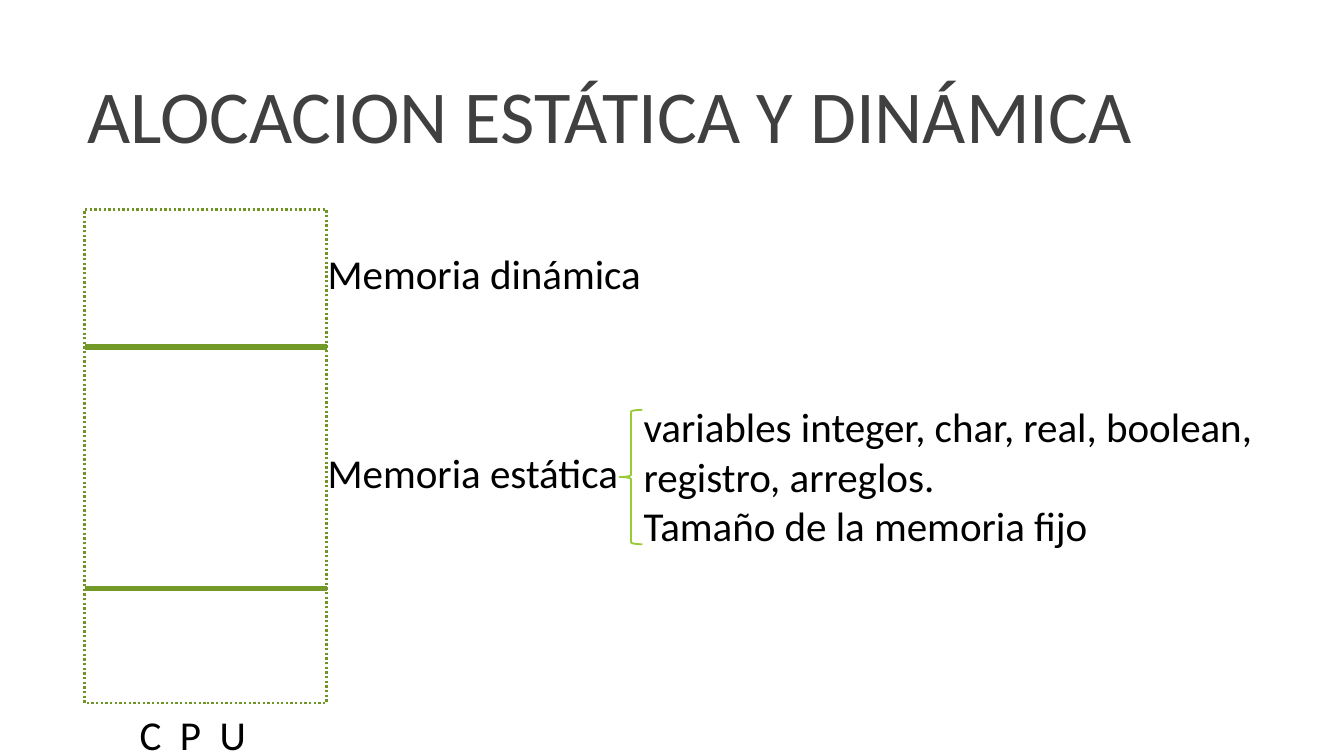
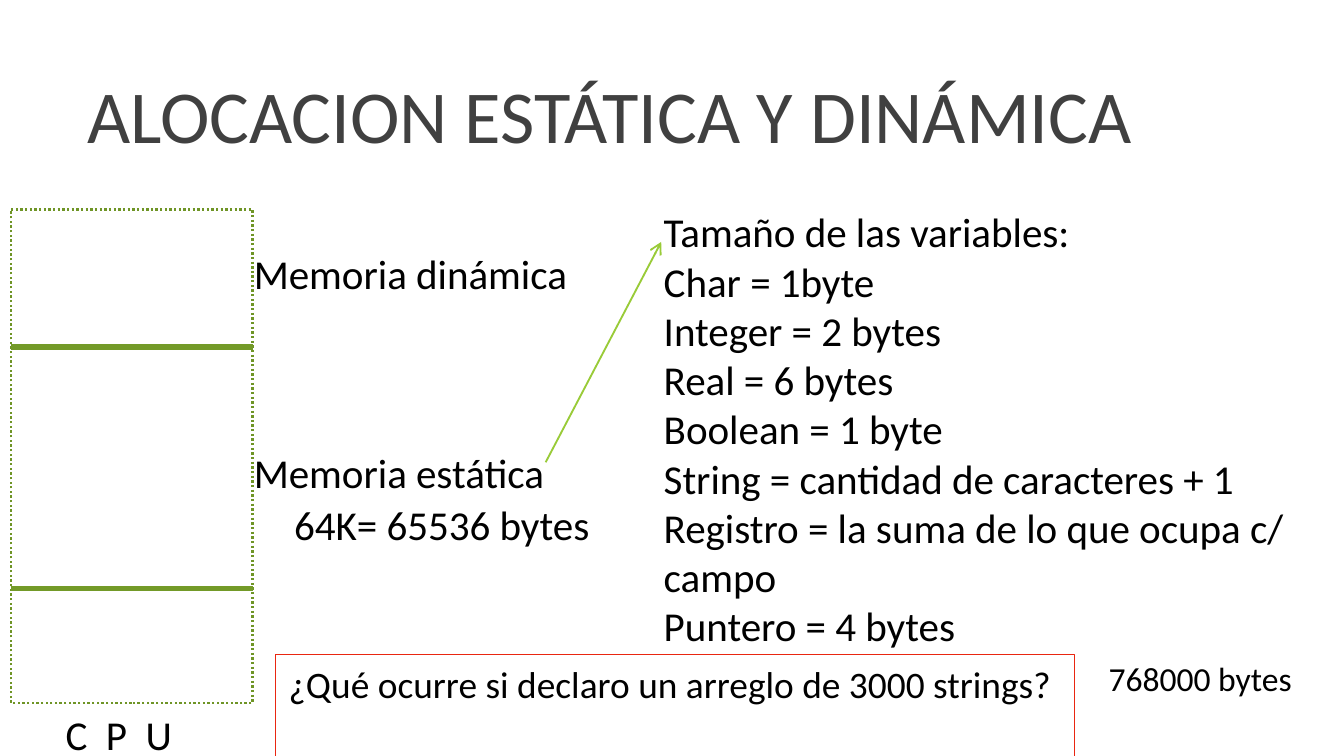
from lxml.etree import SubElement
from pptx import Presentation
from pptx.dml.color import RGBColor
from pptx.enum.dml import MSO_LINE
from pptx.enum.shapes import MSO_CONNECTOR, MSO_SHAPE
from pptx.enum.text import MSO_ANCHOR as ANCHOR, MSO_AUTO_SIZE as AUTO_SIZE, PP_ALIGN as ALIGN
from pptx.oxml.ns import qn
from pptx.util import Inches, Pt

FONT = "Calibri"
BLACK = RGBColor(0x00, 0x00, 0x00)
TITLE_GRAY = RGBColor(0x40, 0x40, 0x40)
BORDER_GREEN = RGBColor(0x6F, 0x95, 0x26)
DIVIDER_GREEN = RGBColor(0x73, 0x9A, 0x28)
ACCENT_GREEN = RGBColor(0x99, 0xCB, 0x38)
QUESTION_RED = RGBColor(0xE9, 0x26, 0x11)

SLIDE_WIDTH = Inches(10)
SLIDE_HEIGHT = SLIDE_WIDTH * 9 // 16

TITLE = "ALOCACION ESTÁTICA Y DINÁMICA"
MEMORY_TOP, MEMORY_WIDTH, MEMORY_HEIGHT = 1.56, 1.8, 3.67
DIVIDER_TOPS = (2.58, 4.38)


def write(frame, text, size=22, color=BLACK, align=ALIGN.LEFT, anchor=ANCHOR.TOP, spacing=1.0):
    """Fill a text frame, with one paragraph per line of text."""
    frame.word_wrap = True
    frame.auto_size = AUTO_SIZE.NONE
    frame.vertical_anchor = anchor
    frame.text = text
    for paragraph in frame.paragraphs:
        paragraph.alignment = align
        paragraph.line_spacing = spacing
        for run in paragraph.runs:
            run.font.name = FONT
            run.font.size = Pt(size)
            run.font.color.rgb = color


class Deck:
    def __init__(self):
        self.presentation = Presentation()
        self.presentation.slide_width = SLIDE_WIDTH
        self.presentation.slide_height = SLIDE_HEIGHT
        self.slide = None

    def start_slide(self, title):
        self.slide = self.presentation.slides.add_slide(self.presentation.slide_layouts[5])
        heading = self.slide.shapes.title
        heading.left, heading.top = Inches(0.55), Inches(0.13)
        heading.width, heading.height = Inches(9.33), Inches(1.1)
        write(heading.text_frame, title, size=40, color=TITLE_GRAY,
              anchor=ANCHOR.BOTTOM, spacing=0.85)

    def text(self, text, left, top, width, height=0.47, **style):
        box = self.slide.shapes.add_textbox(
            Inches(left), Inches(top), Inches(width), Inches(height))
        write(box.text_frame, text, **style)
        return box

    def outline(self, kind, left, top, width, height, color, weight):
        shape = self.slide.shapes.add_shape(
            kind, Inches(left), Inches(top), Inches(width), Inches(height))
        shape.shadow.inherit = False
        shape.fill.background()
        shape.line.color.rgb = color
        shape.line.width = Pt(weight)
        return shape

    def line(self, start, end, color, weight, arrow=False):
        connector = self.slide.shapes.add_connector(
            MSO_CONNECTOR.STRAIGHT, *map(Inches, (*start, *end)))
        connector.line.color.rgb = color
        connector.line.width = Pt(weight)
        properties = connector.element.spPr
        if arrow:
            SubElement(properties.find(qn("a:ln")), qn("a:tailEnd"), type="arrow")
        SubElement(properties, qn("a:effectLst"))
        return connector

    def memory_map(self, left, label_height=0.47):
        """Draw the CPU memory block with its dividers and labels."""
        block = self.outline(MSO_SHAPE.RECTANGLE, left, MEMORY_TOP, MEMORY_WIDTH, MEMORY_HEIGHT,
                             BORDER_GREEN, 1.25)
        block.line.dash_style = MSO_LINE.ROUND_DOT
        for top in DIVIDER_TOPS:
            self.line((left, top), (left + MEMORY_WIDTH, top), DIVIDER_GREEN, 3)
        self.text("C  P  U", left + 0.31, MEMORY_TOP + MEMORY_HEIGHT, 1.41)
        for label, top in (("Memoria dinámica", 1.8), ("Memoria estática", 3.28)):
            self.text(label, left + 1.71, top, 2.66, label_height)


def static_memory_slide(deck):
    deck.start_slide(TITLE)
    deck.memory_map(0.63)
    deck.outline(MSO_SHAPE.LEFT_BRACE, 4.61, 3.05, 0.17, 1, ACCENT_GREEN, 1)
    deck.text("variables integer, char, real, boolean, registro, arreglos.\n"
              "Tamaño de la memoria fijo", 4.69, 2.94, 5.31, 1.57)


def variable_sizes_slide(deck):
    deck.start_slide(TITLE)
    deck.memory_map(0.08, label_height=0.84)
    deck.text("64K= 65536 bytes", 2.09, 3.67, 2.6, 0.84)
    sizes = deck.text("\n".join((
        "Tamaño de las variables:",
        "Char = 1byte",
        "Integer = 2 bytes",
        "Real = 6 bytes",
        "Boolean = 1 byte",
        "String = cantidad de caracteres + 1",
        "Registro = la suma de lo que ocupa c/ campo",
        "Puntero = 4 bytes",
    )), 4.84, 1.49, 5.08, 3.77)
    sizes_arrow = deck.line((4.06, 3.44), (4.92, 1.8), ACCENT_GREEN, 1, arrow=True)
    deck.slide.shapes.add_group_shape([sizes, sizes_arrow])
    question = deck.outline(MSO_SHAPE.RECTANGLE, 2.05, 4.87, 5.94, 0.77, QUESTION_RED, 0.25)
    write(question.text_frame, "¿Qué ocurre si declaro un arreglo de 3000 strings?",
          size=20, align=ALIGN.JUSTIFY)
    deck.text("768000 bytes", 8.15, 4.85, 1.85, 0.4, size=18)


def main():
    deck = Deck()
    static_memory_slide(deck)
    variable_sizes_slide(deck)
    deck.presentation.save("out.pptx")


if __name__ == "__main__":
    main()
